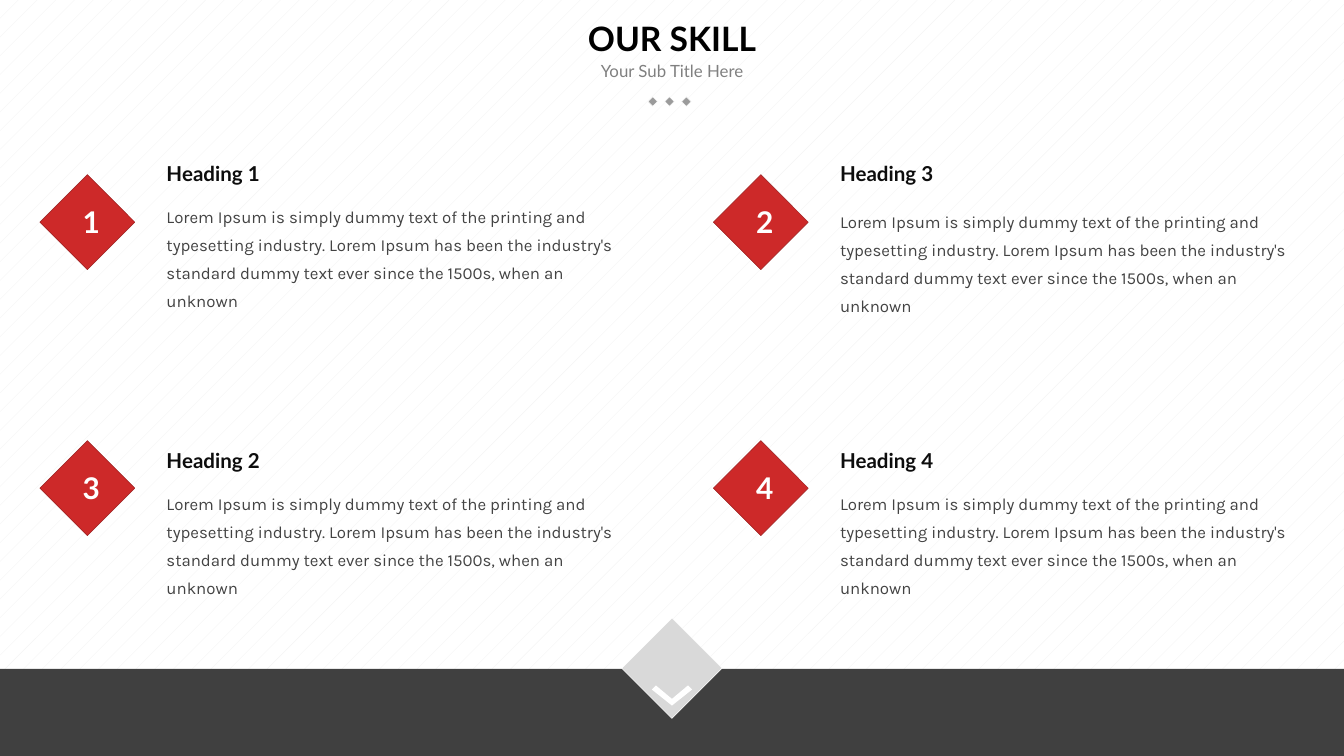
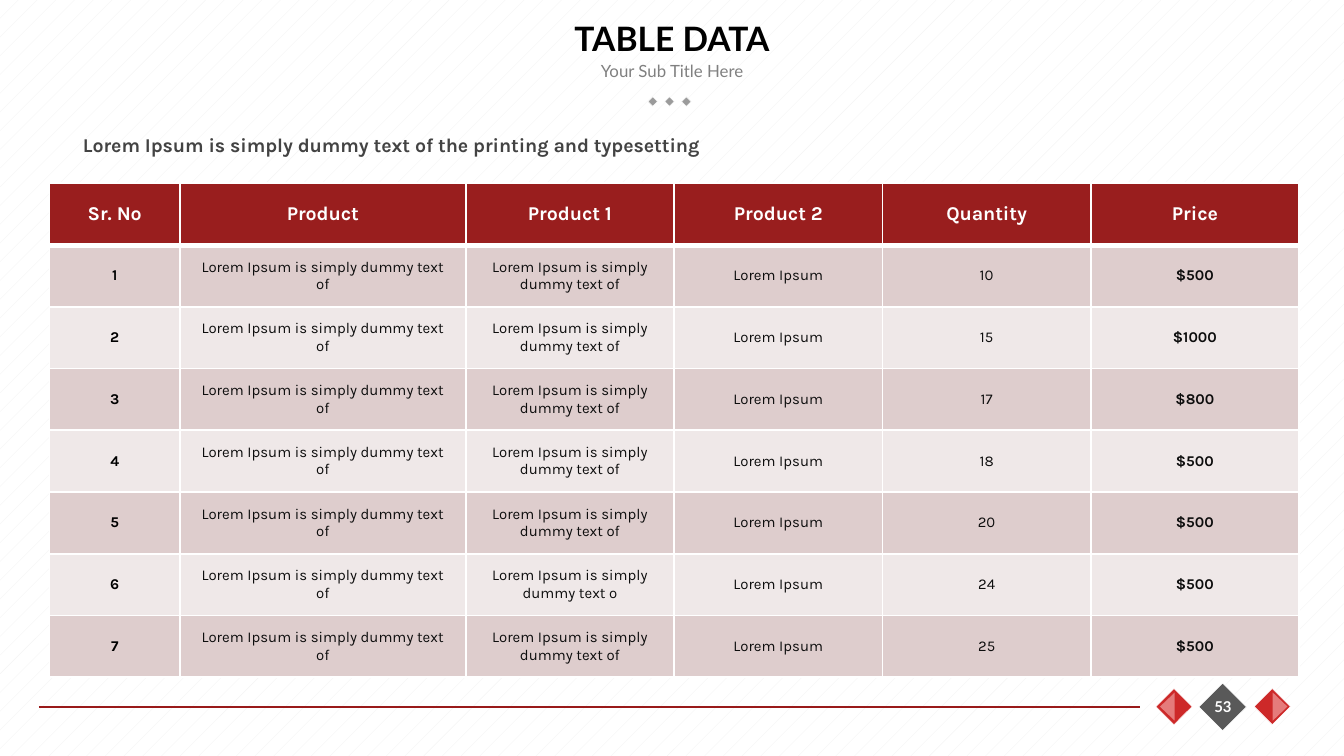
"""Build a skill grid slide and a price table slide with a shared title style."""
import lxml.etree
import pptx
import pptx.dml.color
import pptx.enum.dml
import pptx.enum.shapes
import pptx.enum.text
import pptx.oxml.ns
import pptx.util

Pt = pptx.util.Pt
hue = pptx.dml.color.RGBColor.from_string
qn = pptx.oxml.ns.qn
FORM = pptx.enum.shapes.MSO_SHAPE
MID = pptx.enum.text.MSO_ANCHOR.MIDDLE
TOP = pptx.enum.text.MSO_ANCHOR.TOP
LEFT = pptx.enum.text.PP_ALIGN.LEFT
CENTER = pptx.enum.text.PP_ALIGN.CENTER
FIT = pptx.enum.text.MSO_AUTO_SIZE

WHITE, BLACK, INK, TEXT = "FFFFFF", "000000", "0D0D0D", "434343"
RED, DARK, PINK = "CD2929", "991E1E", "E57B7B"
LOREM = "Lorem Ipsum is simply dummy text of"
BODY = (LOREM + " the printing and typesetting industry. Lorem Ipsum has been the "
        "industry's standard dummy text ever since the 1500s, when an unknown")


def draw(page, box, fill, edge=None, turn=0, form=FORM.RECTANGLE):
    """Add a filled shape with an optional thin edge."""
    shape = page.shapes.add_shape(form, *map(Pt, box))
    shape.shadow.inherit = False
    shape.rotation = turn
    shape.fill.solid()
    shape.fill.fore_color.rgb = hue(fill)
    if edge:
        shape.line.color.rgb = hue(edge)
        shape.line.width = Pt(0.25)
    else:
        shape.line.fill.background()


def write(page, box, text, size, tone, bold=False, face="Lato",
          align=LEFT, anchor=TOP, lead=None, holder=None):
    """Put styled text in a new box or in the given placeholder."""
    place = holder or page.shapes.add_textbox(0, 0, 0, 0)
    place.left, place.top, place.width, place.height = map(Pt, box)
    frame = place.text_frame
    frame.text = text
    frame.word_wrap = True
    frame.auto_size = FIT.SHAPE_TO_FIT_TEXT if anchor == TOP else FIT.NONE
    frame.vertical_anchor = anchor
    line = frame.paragraphs[0]
    line.alignment = align
    if lead:
        line.line_spacing = Pt(lead)
    font = line.runs[0].font
    font.name, font.size, font.bold = face, Pt(size), bold
    font.color.rgb = hue(tone)


deck = pptx.Presentation()
deck.slide_width, deck.slide_height = Pt(720), Pt(405)

pages = []
for title in ("OUR SKILL", "TABLE DATA"):
    page = deck.slides.add_slide(deck.slide_layouts[5])
    pages.append(page)
    back = page.background.fill
    back.patterned()
    back.pattern = pptx.enum.dml.MSO_PATTERN.PERCENT_5
    back.fore_color.rgb = hue("F2F2F2")
    back.back_color.rgb = hue(WHITE)
    for step in range(3):
        draw(page, (347.9 + 9 * step, 52.6, 3.6, 3.6), "9B9B9B", WHITE, 315)
    write(page, (270, 28.8, 180, 18), "Your Sub Title Here", 9, "808080",
          align=CENTER, anchor=MID)
    write(page, (54, 0, 612, 40.3), title, 18, BLACK, True,
          align=CENTER, anchor=MID, holder=page.shapes.title)
skill, data = pages

heads = [("Heading 1", 103), ("Heading 3", 105.8),
         ("Heading 2", 257), ("Heading 4", 257)]
for spot, (head, top) in enumerate(heads):
    row, col = divmod(spot, 2)
    shift = 360.8 * col
    write(skill, (82.1 + shift, top, 257.8, 52.6), BODY, 9, TEXT,
          face="Karla", lead=15)
    write(skill, (82.1 + shift, 82.8 + 153.6 * row, 162, 20.9), head, 11, INK, True)
    draw(skill, (28.8 + shift, 101 + 142.5 * row, 36, 36), RED, DARK, 225)
    write(skill, (37.2 + shift, 105.8 + 142.5 * row, 19.4, 26.6), str(spot + 1),
          16, WHITE, True, align=CENTER)

draw(skill, (0, 358.4, 720, 46.6), "404040")
draw(skill, (341, 339, 38, 38), "D9D9D9", WHITE, 315)
points = [(368.6, 367.2), (360, 374.4), (351.4, 367.2),
          (349.2, 369.4), (360, 378), (370.8, 369.4)]
points = [(Pt(x), Pt(y)) for x, y in points]
pen = skill.shapes.build_freeform(*points[0])
pen.add_line_segments(points[1:], close=True)
arrow = pen.convert_to_shape()
arrow.shadow.inherit = False
arrow.fill.solid()
arrow.fill.fore_color.rgb = hue(WHITE)
arrow.line.fill.background()

rule = data.shapes.add_connector(pptx.enum.shapes.MSO_CONNECTOR.STRAIGHT,
                                 Pt(20.9), Pt(378.7), Pt(610.6), Pt(378.7))
rule.line.color.rgb = hue("991A1A")
rule.line.width = Pt(0.75)
lxml.etree.SubElement(rule._element.spPr, qn("a:effectLst"))
draw(data, (646, 369.7, 18, 18), "595959", WHITE, 315)
for left, tip, turn in ((674.8, 678.2, 90), (622.1, 617.8, 270)):
    draw(data, (left, 371.7, 13.7, 13.7), RED, WHITE, 315)
    draw(data, (tip, 374.6, 15.1, 7.9), PINK, turn=turn, form=FORM.FLOWCHART_EXTRACT)
write(data, (640.1, 369.4, 30.2, 18), "53", 8, WHITE, True, align=CENTER, anchor=MID)
write(data, (37.4, 65.5, 391, 22.3), LOREM + " the printing and typesetting",
      10.5, TEXT, True, "Karla", lead=15)

rows = [("Sr. No", "Product", "Product 1", "Product 2", "Quantity", "Price")]
stock = [(10, 500), (15, 1000), (17, 800), (18, 500), (20, 500), (24, 500), (25, 500)]
for rank, (count, price) in enumerate(stock, 1):
    short = LOREM[:-1] if rank == 6 else LOREM
    rows.append((str(rank), LOREM, short, "Lorem Ipsum", str(count), f"${price}"))

grid = data.shapes.add_table(len(rows), 6, Pt(26.6), Pt(98.2), Pt(669.4), Pt(264.8)).table
for col, width in zip(grid.columns, (69.8, 153.2, 111.6, 111.6, 111.6, 111.6)):
    col.width = Pt(width)
for r, words in enumerate(rows):
    grid.rows[r].height = Pt(33.1)
    for c, word in enumerate(words):
        cell = grid.cell(r, c)
        cell.text = word
        cell.vertical_anchor = MID
        for side in ("lnL", "lnR", "lnT", "lnB"):
            thick = (r, side) in ((0, "lnB"), (1, "lnT"))
            edge = lxml.etree.SubElement(cell._tc.get_or_add_tcPr(), qn("a:" + side),
                                         w=str(Pt(3 if thick else 1)))
            paint = lxml.etree.SubElement(edge, qn("a:solidFill"))
            lxml.etree.SubElement(paint, qn("a:srgbClr"), val=WHITE)
        cell.fill.solid()
        cell.fill.fore_color.rgb = hue(DARK if r == 0 else ("EFE8E8", "DECDCD")[r % 2])
        line = cell.text_frame.paragraphs[0]
        line.alignment = CENTER
        font = line.runs[0].font
        font.name = "Karla"
        font.size = Pt(8 if r else 10.5)
        font.bold = r == 0 or c in (0, 5)
        font.color.rgb = hue(WHITE if r == 0 else INK if c else BLACK)

deck.save("out.pptx")
